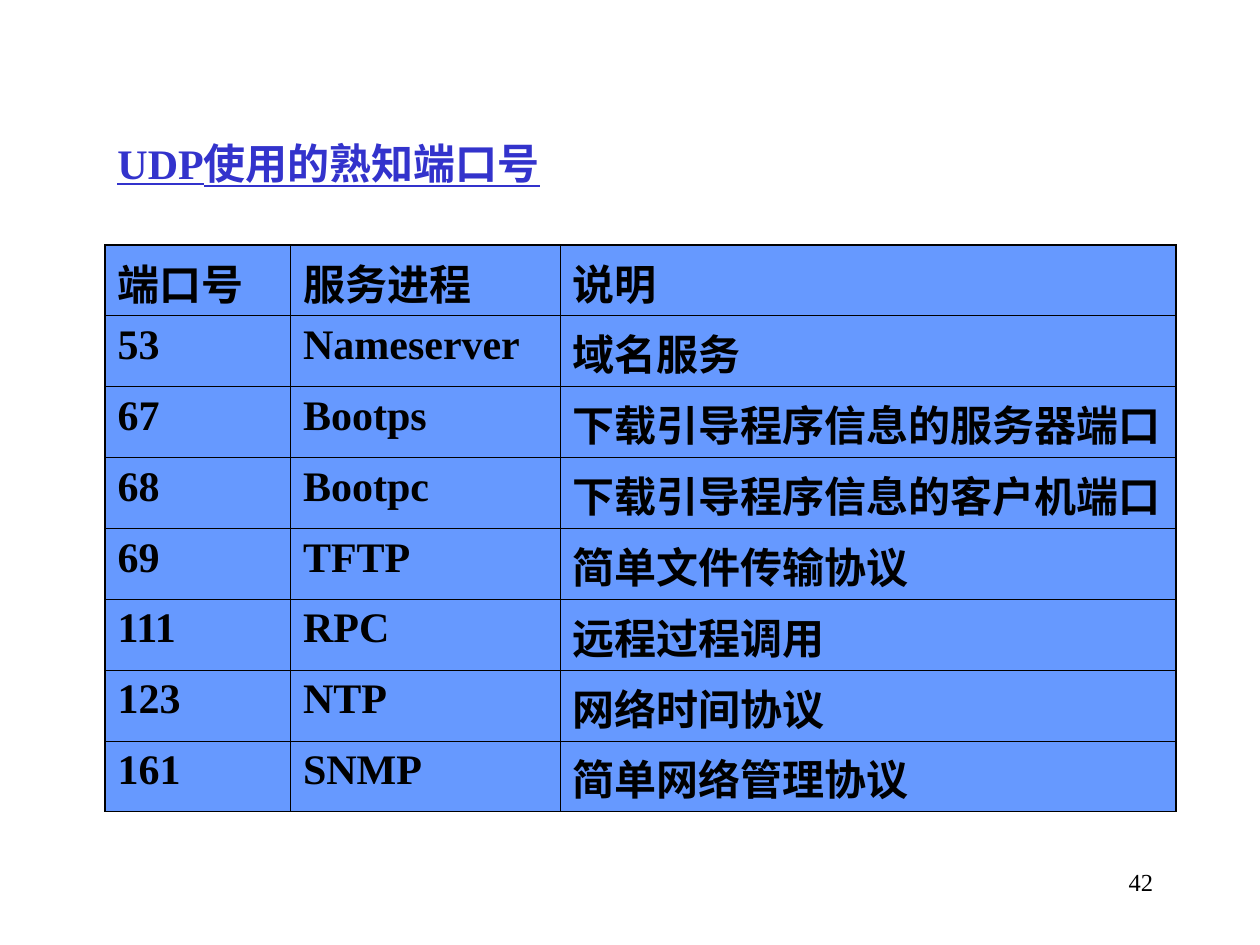
import lxml.etree
import pptx
import pptx.dml.color
import pptx.enum.text
import pptx.oxml.ns
import pptx.util

Pt = pptx.util.Pt
ANCHOR = pptx.enum.text.MSO_ANCHOR
ALIGN = pptx.enum.text.PP_ALIGN
COLOURS = {"title": "3333CC", "text": "000000", "cell": "6699FF", "border": "000000"}
OUTER_LINE, INNER_LINE = 0.96, 0.45
COLUMN_WIDTHS = [106, 154, 352]
ROW_HEIGHT = 40.5
PORTS = [
    ("端口号", "服务进程", "说明"),
    ("53", "Nameserver", "域名服务"),
    ("67", "Bootps", "下载引导程序信息的服务器端口"),
    ("68", "Bootpc", "下载引导程序信息的客户机端口"),
    ("69", "TFTP", "简单文件传输协议"),
    ("111", "RPC", "远程过程调用"),
    ("123", "NTP", "网络时间协议"),
    ("161", "SNMP", "简单网络管理协议"),
]


def rgb(name):
    return pptx.dml.color.RGBColor.from_string(COLOURS[name])


def write_text(frame, text, size=24, colour="text", bold=True, underline=False,
               align=ALIGN.LEFT, font="Times New Roman"):
    para = frame.paragraphs[0]
    para.alignment = align
    span = para.add_run()
    span.text = text
    span.font.name = font
    span.font.size = Pt(size)
    span.font.bold = bold
    span.font.underline = underline
    span.font.color.rgb = rgb(colour)


def add_border(cell, side, width):
    """Draw one cell edge; side is L, R, T or B, added in that order."""
    qn = pptx.oxml.ns.qn
    properties = cell._tc.get_or_add_tcPr()
    line = lxml.etree.SubElement(properties, qn(f"a:ln{side}"), w=str(int(Pt(width))))
    fill = lxml.etree.SubElement(line, qn("a:solidFill"))
    lxml.etree.SubElement(fill, qn("a:srgbClr"), val=COLOURS["border"])


class SlideBuilder:
    def __init__(self, deck):
        self.slide = deck.slides.add_slide(deck.slide_layouts[6])

    def text_box(self, text, left, top, width, height, anchor=ANCHOR.TOP, **style):
        box = self.slide.shapes.add_textbox(Pt(left), Pt(top), Pt(width), Pt(height))
        box.text_frame.word_wrap = True
        box.text_frame.vertical_anchor = anchor
        write_text(box.text_frame, text, **style)

    def table(self, rows, left, top):
        last_row, last_column = len(rows) - 1, len(COLUMN_WIDTHS) - 1
        table = self.slide.shapes.add_table(
            len(rows), len(COLUMN_WIDTHS), Pt(left), Pt(top),
            Pt(sum(COLUMN_WIDTHS)), Pt(ROW_HEIGHT * len(rows))).table
        table.first_row = table.horz_banding = False
        for column, width in zip(table.columns, COLUMN_WIDTHS):
            column.width = Pt(width)
        for r, values in enumerate(rows):
            table.rows[r].height = Pt(ROW_HEIGHT)
            for c, value in enumerate(values):
                cell = table.cell(r, c)
                write_text(cell.text_frame, value)
                on_edge = {"L": c == 0, "R": c == last_column,
                           "T": r == 0, "B": r == last_row}
                for side, outer in on_edge.items():
                    add_border(cell, side, OUTER_LINE if outer else INNER_LINE)
                cell.fill.solid()
                cell.fill.fore_color.rgb = rgb("cell")


def main():
    deck = pptx.Presentation()
    deck.slide_width, deck.slide_height = Pt(720), Pt(540)
    page = SlideBuilder(deck)
    page.text_box("UDP使用的熟知端口号", 60, 60, 594, 66, anchor=ANCHOR.MIDDLE,
                  colour="title", underline=True)
    page.table(PORTS, 60, 140)
    page.text_box("42", 516, 492, 150, 36, size=14, bold=False, align=ALIGN.RIGHT)
    deck.save("out.pptx")


if __name__ == "__main__":
    main()
